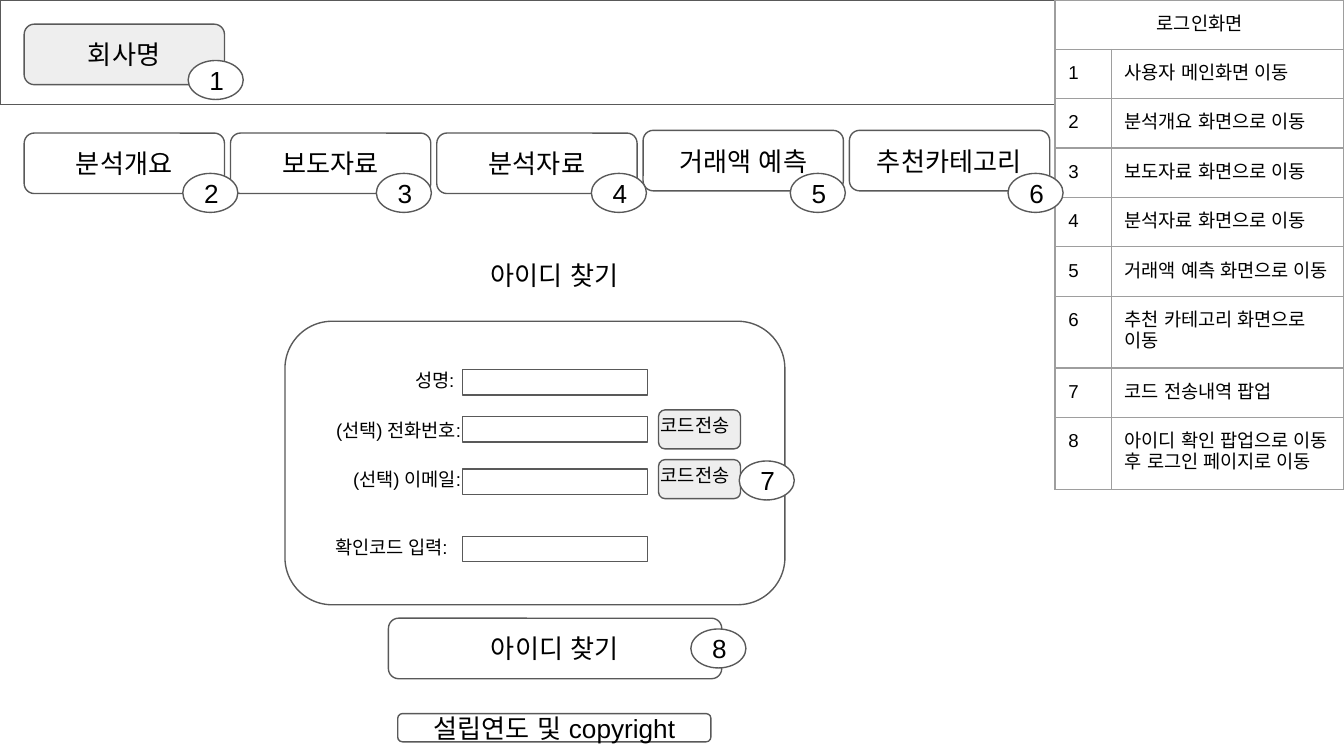
from dataclasses import dataclass

from lxml.etree import SubElement
from pptx import Presentation
from pptx.dml.color import RGBColor
from pptx.enum.shapes import MSO_SHAPE
from pptx.enum.text import MSO_ANCHOR, MSO_AUTO_SIZE, PP_ALIGN
from pptx.oxml.ns import qn
from pptx.util import Inches, Pt


@dataclass(frozen=True)
class Theme:
    font: str = "Arial"
    ink: str = "000000"
    edge: str = "595959"
    rule: str = "9E9E9E"
    gray: str = "EEEEEE"
    white: str = "FFFFFF"
    big: int = 14
    small: int = 10
    line: float = 0.75


LOOK = Theme()
WIDE, HIGH = Inches(10), Inches(5.625)
COL, ROW = WIDE / 100, HIGH / 56.25
RECT, ROUND = MSO_SHAPE.RECTANGLE, MSO_SHAPE.ROUNDED_RECTANGLE
DOT = MSO_SHAPE.FLOWCHART_CONNECTOR
LEFT, MID, RIGHT = PP_ALIGN.LEFT, PP_ALIGN.CENTER, PP_ALIGN.RIGHT
PAD = 1


def area(x, y, w, h):
    """Turn grid columns and rows into slide lengths."""
    return [round(n) for n in (x * COL, y * ROW, w * COL, h * ROW)]


def write(frame, text, size=LOOK.big, align=MID, anchor=MSO_ANCHOR.MIDDLE,
          right=PAD, grow=False):
    """Set the text of a frame and its format."""
    frame.word_wrap = True
    frame.auto_size = (MSO_AUTO_SIZE.SHAPE_TO_FIT_TEXT if grow
                       else MSO_AUTO_SIZE.NONE)
    frame.vertical_anchor = anchor
    frame.margin_left = frame.margin_top = frame.margin_bottom = round(PAD * COL)
    frame.margin_right = round(right * COL)
    style(frame.paragraphs[0], text, size, align)


def style(para, text, size, align):
    para.alignment = align
    run = para.add_run()
    run.text = text
    run.font.name = LOOK.font
    run.font.size = Pt(size)
    run.font.color.rgb = RGBColor.from_string(LOOK.ink)
    SubElement(run.font._element, qn("a:ea"), typeface=LOOK.font)


def shape(slide, kind, spot, text="", fill=None):
    item = slide.shapes.add_shape(kind, *area(*spot))
    item.shadow.inherit = False
    item.line.color.rgb = RGBColor.from_string(LOOK.edge)
    item.line.width = Pt(LOOK.line)
    if fill:
        item.fill.solid()
        item.fill.fore_color.rgb = RGBColor.from_string(fill)
    else:
        item.fill.background()
    if text:
        write(item.text_frame, text)


def label(slide, spot, text, **form):
    item = slide.shapes.add_textbox(*area(*spot))
    write(item.text_frame, text, size=LOOK.small, anchor=MSO_ANCHOR.TOP,
          grow=True, **form)


def badge(slide, num, x, y):
    shape(slide, DOT, (x, y, 4.1, 2.9), str(num), LOOK.white)


def border(cell):
    """Draw all four edges; edges go before the fill."""
    props = cell._tc.get_or_add_tcPr()
    for spot, side in enumerate(("a:lnL", "a:lnR", "a:lnT", "a:lnB")):
        edge = SubElement(props, qn(side), w=str(Pt(LOOK.line)))
        fill = SubElement(edge, qn("a:solidFill"))
        SubElement(fill, qn("a:srgbClr"), val=LOOK.rule)
        props.insert(spot, edge)


def guide(slide, head, notes):
    """Table of numbered notes under one merged heading."""
    rows = [(head, "")] + [(str(n), t) for n, t in enumerate(notes, 1)]
    spot = area(78.5, 0, 21.5, 3.1 * len(rows))
    grid = slide.shapes.add_table(len(rows), 2, *spot).table
    grid.first_row = grid.horz_banding = False
    for col, wide in zip(grid.columns, (4.2, 17.3)):
        col.width = round(wide * COL)
    grid.cell(0, 0).merge(grid.cell(0, 1))
    for r, texts in enumerate(rows):
        grid.rows[r].height = round(3.1 * ROW)
        for c, text in enumerate(texts):
            cell = grid.cell(r, c)
            cell.fill.background()
            border(cell)
            cell.margin_left = cell.margin_right = round(PAD * COL)
            cell.margin_top = cell.margin_bottom = round(PAD * ROW)
            if text:
                style(cell.text_frame.paragraphs[0], text, LOOK.small,
                      LEFT if r else MID)


def title(slide, spot, text):
    item = slide.shapes.title
    item.left, item.top, item.width, item.height = area(*spot)
    write(item.text_frame, text, anchor=MSO_ANCHOR.TOP)


def form(slide):
    shape(slide, ROUND, (21.2, 23.9, 37.2, 21.1))
    # Labels: text, left, top, width, right inset; then the field's top
    for text, x, y, w, gap, top in (
            ("성명:", 26.8, 26.6, 9.4, 2.4, 27.5),
            ("(선택) 전화번호:", 22.7, 30.3, 14.7, 3.1, 31),
            ("(선택) 이메일:", 23.6, 34, 13.8, 3.1, 34.9),
            ("확인코드 입력:", 22.4, 39, 14.9, 4, 39.9)):
        label(slide, (x, y, w, 3.7), text, align=RIGHT, right=gap)
        shape(slide, RECT, (34.4, top, 13.8, 1.9), fill=LOOK.white)
    # Send buttons
    for y in (30.5, 34.2):
        shape(slide, ROUND, (49, y, 6.1, 2.9), fill=LOOK.gray)
        label(slide, (48.2, y - 0.55, 10.6, 5.4), "코드전송", align=LEFT)


def main():
    deck = Presentation()
    deck.slide_width, deck.slide_height = WIDE, HIGH
    slide = deck.slides.add_slide(deck.slide_layouts[5])

    # Header
    shape(slide, RECT, (0, 0, 78.5, 7.8))
    shape(slide, ROUND, (1.8, 1.8, 14.9, 4.5), "회사명", LOOK.gray)

    # Menu
    tabs = ("분석개요", "보도자료", "분석자료", "거래액 예측", "추천카테고리")
    for i, text in enumerate(tabs):
        y = 9.9 if i < 3 else 9.7
        shape(slide, ROUND, (1.8 + 15.35 * i, y, 14.9, 4.5), text, LOOK.white)

    # Find-ID form
    title(slide, (30.1, 18.3, 22.3, 4.4), "아이디 찾기")
    form(slide)
    shape(slide, ROUND, (28.9, 46, 24.8, 4.5), "아이디 찾기")
    shape(slide, ROUND, (29.6, 53.1, 23.3, 2.1), "설립연도 및 copyright")

    # Notes
    guide(slide, "로그인화면", (
        "사용자 메인화면 이동", "분석개요 화면으로 이동",
        "보도자료 화면으로 이동", "분석자료 화면으로 이동",
        "거래액 예측 화면으로 이동", "추천 카테고리 화면으로 이동",
        "코드 전송내역 팝업",
        "아이디 확인 팝업으로 이동 후 로그인 페이지로 이동"))

    # Number badges
    badge(slide, 1, 14, 4.5)
    for num, x in enumerate((13.6, 28, 44, 58.8, 75), 2):
        badge(slide, num, x, 12.9)
    badge(slide, 7, 55, 34.3)
    badge(slide, 8, 51.4, 46.8)

    deck.save("out.pptx")


main()
